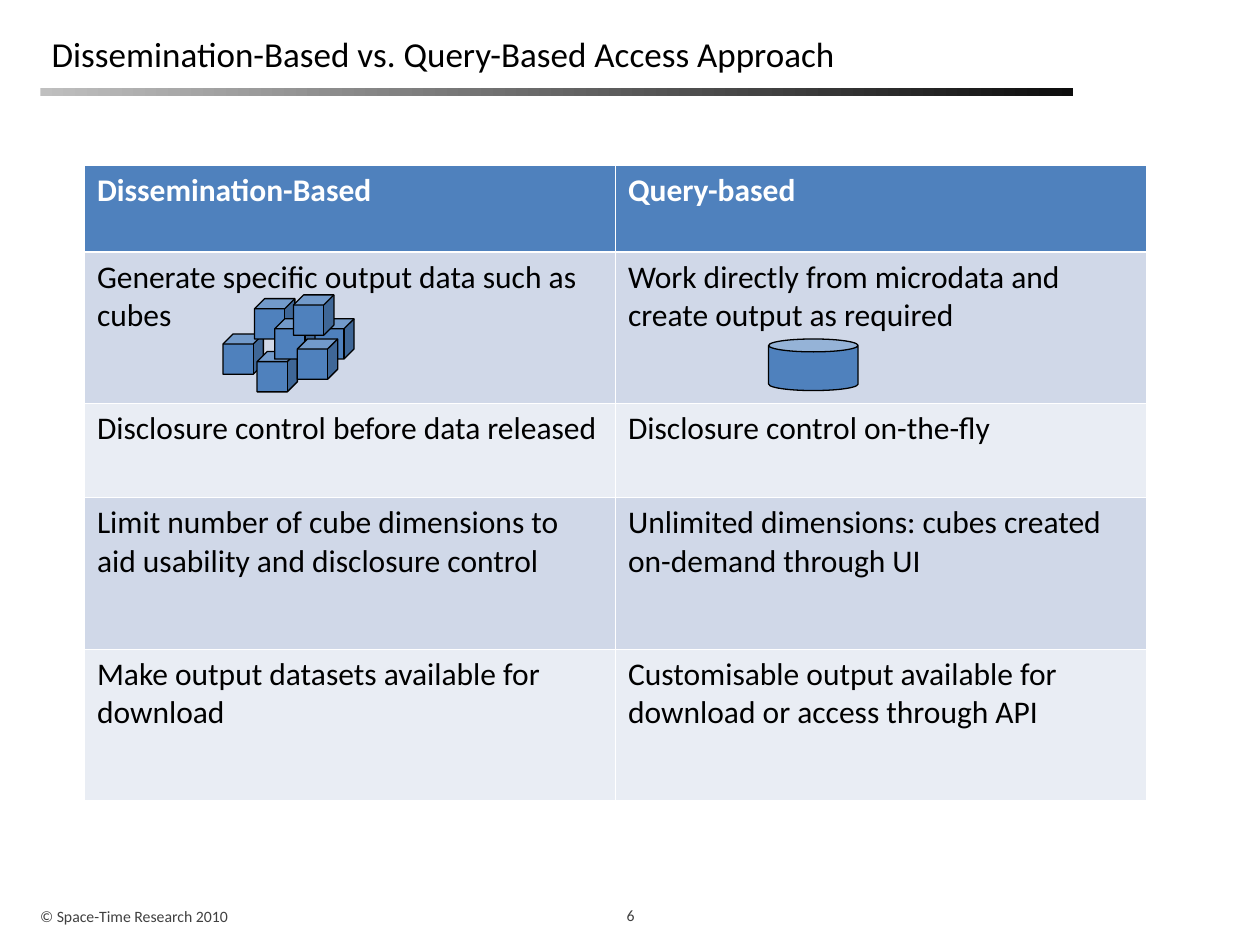
"""Build a slide comparing dissemination-based and query-based data access."""
import pptx
import pptx.dml.color
import pptx.enum.shapes
import pptx.enum.text
import pptx.oxml
import pptx.oxml.ns
import pptx.util
from pptx.util import Inches

COLORS = {
    "white": "FFFFFF", "black": "000000", "footer": "404040",
    "rule_start": "BFBFBF", "rule_end": "0D0D0D",
    "blue": "4F81BD", "band_dark": "D0D8E8", "band_light": "E9EDF4",
}
ROWS = [
    ("Dissemination-Based", "Query-based"),
    ("Generate specific output data such as cubes",
     "Work directly from microdata and create output as required"),
    ("Disclosure control before data released", "Disclosure control on-the-fly"),
    ("Limit number of cube dimensions to aid usability and disclosure control",
     "Unlimited dimensions: cubes created on-demand through UI"),
    ("Make output datasets available for download",
     "Customisable output available for download or access through API"),
]
ROW_HEIGHTS = [0.69, 1.2, 0.75, 1.2, 1.2]
CUBE_SPOTS = [(2.49, 2.53), (1.77, 2.65), (2.04, 2.79), (2.02, 2.37),
              (2.18, 2.53), (2.36, 2.69), (2.33, 2.34)]
SHAPES = pptx.enum.shapes.MSO_SHAPE


def rgb(name):
    return pptx.dml.color.RGBColor.from_string(COLORS[name])


def write(frame, text, size=18, color="black", bold=False,
          align=pptx.enum.text.PP_ALIGN.LEFT, spacing=1.0):
    frame.word_wrap = True
    frame.vertical_anchor = pptx.enum.text.MSO_ANCHOR.TOP
    para = frame.paragraphs[0]
    para.alignment = align
    para.line_spacing = spacing
    span = para.add_run()
    span.text = text
    span.font.name = "Calibri"
    span.font.size = pptx.util.Pt(size)
    span.font.bold = bold
    span.font.color.rgb = rgb(color)


deck = pptx.Presentation()
deck.slide_width, deck.slide_height = Inches(10), Inches(7.5)
page = deck.slides.add_slide(deck.slide_layouts[5])

title = page.shapes.title
title.left, title.top = Inches(0.31), Inches(0.16)
title.width, title.height = Inches(8.12), Inches(0.51)
title.text_frame.auto_size = pptx.enum.text.MSO_AUTO_SIZE.NONE
write(title.text_frame, "Dissemination-Based vs. Query-Based Access Approach",
      size=20, spacing=1.15)

page_number = page.shapes.add_textbox(Inches(4.73), Inches(7.14), Inches(0.55), Inches(0.25))
write(page_number.text_frame, "6", size=9, color="footer",
      align=pptx.enum.text.PP_ALIGN.CENTER)
copyright_box = page.shapes.add_textbox(Inches(0.22), Inches(7.15), Inches(1.9), Inches(0.25))
write(copyright_box.text_frame, "© Space-Time Research 2010", size=9, color="footer")

rule = page.shapes.add_shape(SHAPES.RECTANGLE, Inches(0.32), Inches(0.7),
                             Inches(8.2), Inches(0.06))
rule.shadow.inherit = False
rule.line.fill.background()
rule.fill.gradient()
rule.fill.gradient_angle = 0
for stop, name in zip(rule.fill.gradient_stops, ("rule_start", "rule_end")):
    stop.color.rgb = rgb(name)

table = page.shapes.add_table(len(ROWS), 2, Inches(0.67), Inches(1.31),
                              Inches(8.43), Inches(sum(ROW_HEIGHTS))).table
for row_index, (texts, height) in enumerate(zip(ROWS, ROW_HEIGHTS)):
    header = row_index == 0
    band = "blue" if header else ("band_light", "band_dark")[row_index % 2]
    table.rows[row_index].height = Inches(height)
    for column_index, text in enumerate(texts):
        cell = table.cell(row_index, column_index)
        write(cell.text_frame, text, color="white" if header else "black", bold=header)
        properties = cell._tc.get_or_add_tcPr()
        for side in ("lnL", "lnR", "lnT", "lnB"):
            heavy = (row_index, side) in ((0, "lnB"), (1, "lnT"))
            width = pptx.util.Pt(1.47 if heavy else 0.45)
            properties.append(pptx.oxml.parse_xml(
                f'<a:{side} {pptx.oxml.ns.nsdecls("a")} w="{width}"><a:solidFill>'
                f'<a:srgbClr val="{COLORS["white"]}"/></a:solidFill></a:{side}>'))
        cell.fill.solid()
        cell.fill.fore_color.rgb = rgb(band)

solids = [(SHAPES.CUBE, left, top, 0.32, 0.32) for left, top in CUBE_SPOTS]
solids.append((SHAPES.CAN, 6.1, 2.69, 0.71, 0.41))
for kind, *place in solids:
    solid = page.shapes.add_shape(kind, *map(Inches, place))
    solid.shadow.inherit = False
    solid.adjustments[0] = 0.25
    solid.fill.solid()
    solid.fill.fore_color.rgb = rgb("blue")
    solid.line.color.rgb = rgb("black")
    solid.line.width = pptx.util.Pt(0.75)

deck.save("out.pptx")
